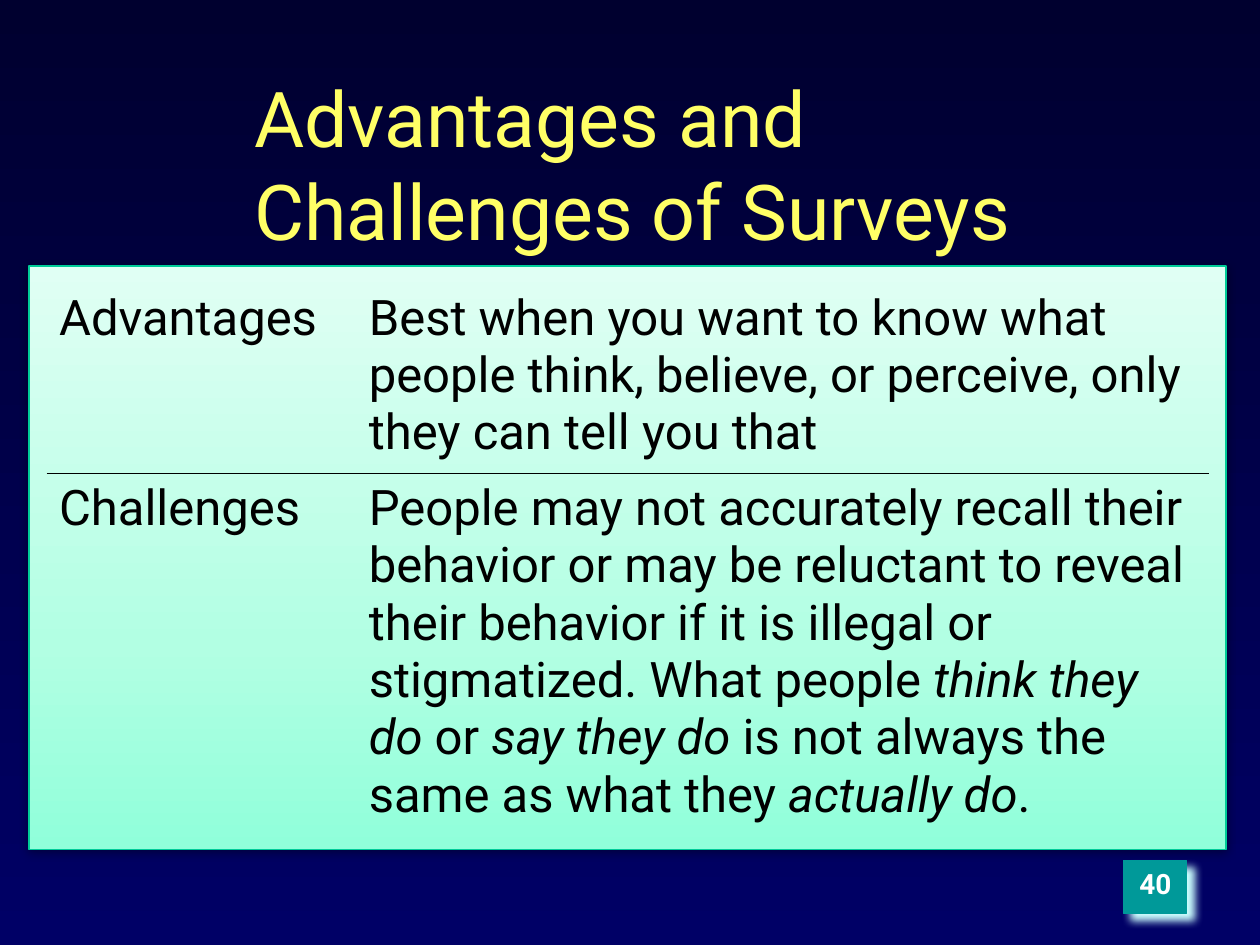
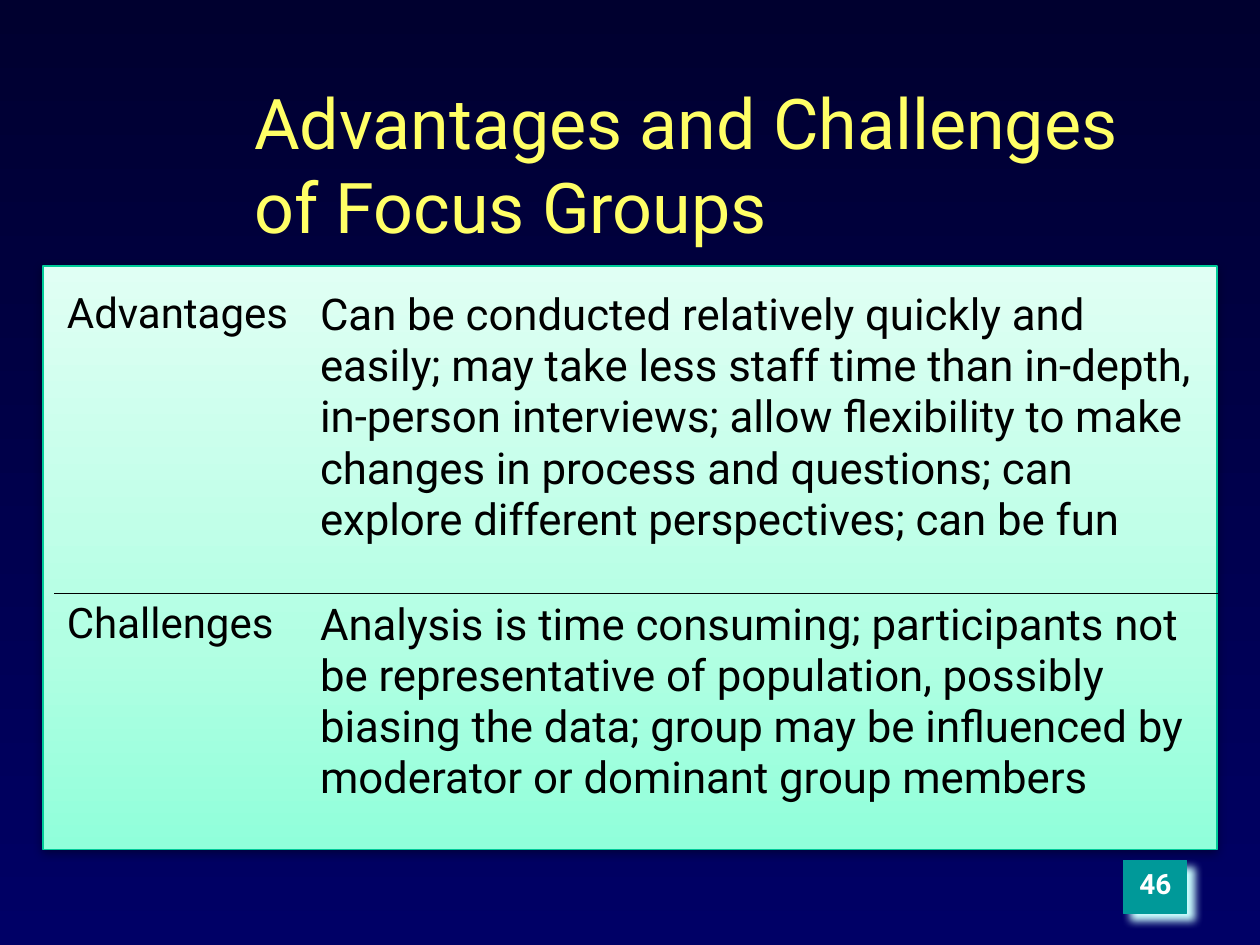
import copy

import lxml.etree
import pptx
import pptx.dml.color
import pptx.enum.shapes
import pptx.enum.text
import pptx.oxml.ns
import pptx.util

Pt = pptx.util.Pt
qn = pptx.oxml.ns.qn
ALIGN = pptx.enum.text.PP_ALIGN
ANCHOR = pptx.enum.text.MSO_ANCHOR
NO_STYLE = "{2D5ABB26-0587-4C30-8999-92F81FD0307C}"

TOPICS = [
    dict(title="Advantages and Challenges of Surveys", title_size=44, number=40,
         panel=(16.6, 684), table_left=26.6, columns=(177, 487.5),
         heights=(108.7, 208.8), label_size=28, body_size=28,
         advantages="Best when you want to know what people think, believe, "
                    "or perceive, only they can tell you that",
         challenges="People may not accurately recall their behavior or may be "
                    "reluctant to reveal their behavior if it is illegal or "
                    "stigmatized. What people *think they do *or *say they do* "
                    "is not always the same as what they *actually do*."),
    dict(title="Advantages and Challenges of Focus Groups", title_size=40, number=46,
         panel=(24.5, 671), table_left=31, columns=(144.7, 520.6),
         heights=(177.1, 162), label_size=24, body_size=25,
         advantages="Can be conducted relatively quickly and easily; may take "
                    "less staff time than in-depth, in-person interviews; allow "
                    "flexibility to make changes in process and questions; can "
                    "explore different perspectives; can be fun",
         challenges="Analysis is time consuming; participants not be "
                    "representative of population, possibly biasing the data; "
                    "group may be influenced by moderator or dominant group members"),
]


def rgb(value):
    """Turn a hex string into a colour."""
    return pptx.dml.color.RGBColor.from_string(value)


def add_xml(parent, tag, **attributes):
    """Append a child element with the given attributes."""
    return lxml.etree.SubElement(
        parent, qn(tag), {name: str(value) for name, value in attributes.items()})


def write(frame, text, size, color, font, bold=None, align=None, anchor=ANCHOR.TOP):
    """Fill a text frame; parts between asterisks become italic."""
    frame.word_wrap = True
    frame.vertical_anchor = anchor
    para = frame.paragraphs[0]
    para.alignment = align
    for index, part in enumerate(text.split("*")):
        span = para.add_run()
        span.text = part
        span.font.name = font
        span.font.size = Pt(size)
        span.font.bold = bold
        span.font.italic = True if index % 2 else None
        span.font.color.rgb = rgb(color)


def paint_gradient(owner, fill, stops, angle):
    """Give a shape or slide a linear gradient of (position, colour) stops."""
    fill.gradient()
    fill.gradient_angle = angle
    stop_list = next(owner.element.iter(qn("a:gsLst")))
    while len(stop_list) < len(stops):
        stop_list.append(copy.deepcopy(stop_list[-1]))
    for stop, (position, color) in zip(fill.gradient_stops, stops):
        stop.position = position
        stop.color.rgb = rgb(color)


class SlideWriter:
    """Holds the shared style and the current slide."""

    font = "Roboto"
    title_color, text_color, badge_text = "FFFF66", "000000", "FFFFFF"
    badge_color, panel_line = "009999", "00CC98"
    page_stops = [(0, "00002F"), (1, "000066")]
    panel_stops = [(0, "90FFDA"), (0.35, "B2FFE3"), (1, "E0FFF4")]

    def __init__(self, deck):
        """Keep the deck that receives the slides."""
        self.deck = deck
        self.page = None

    def start_page(self):
        """Add a blank slide with the shared background."""
        self.page = self.deck.slides.add_slide(self.deck.slide_layouts[6])
        paint_gradient(self.page, self.page.background.fill, self.page_stops, 270)

    def rectangle(self, left, top, width, height, line, shadow):
        """Add an outlined rectangle with a (colour, alpha, distance, angle) shadow."""
        box = self.page.shapes.add_shape(
            pptx.enum.shapes.MSO_SHAPE.RECTANGLE,
            Pt(left), Pt(top), Pt(width), Pt(height))
        box.line.color.rgb = rgb(line)
        box.line.width = Pt(0.75)
        box.shadow.inherit = False
        color, alpha, distance, angle = shadow
        effects = box.element.spPr.find(qn("a:effectLst"))
        outer = add_xml(effects, "a:outerShdw", blurRad=Pt(5), dist=Pt(distance),
                        dir=angle * 60000, algn="ctr", rotWithShape=0)
        add_xml(add_xml(outer, "a:srgbClr", val=color), "a:alpha", val=alpha * 1000)
        return box

    def panel(self, left, width):
        """Add the pale green panel behind the table."""
        box = self.rectangle(left, 152, width, 333.4, self.panel_line,
                             ("000000", 38, 1.6, 90))
        paint_gradient(box, box.fill, self.panel_stops, 90)

    def badge(self, number):
        """Add the slide number in its square."""
        box = self.rectangle(642.2, 491.8, 36, 30.2, self.badge_color,
                             ("CCFFFF", 100, 5.7, 45))
        box.fill.solid()
        box.fill.fore_color.rgb = rgb(self.badge_color)
        write(box.text_frame, str(number), size=16, color=self.badge_text,
              font=self.font, bold=True, align=ALIGN.CENTER)

    def title(self, text, size):
        """Add the slide title."""
        box = self.page.shapes.add_textbox(Pt(138.2), Pt(48.2), Pt(527.8), Pt(90))
        write(box.text_frame, text, size=size, color=self.title_color,
              font=self.font, anchor=ANCHOR.MIDDLE)

    def table(self, rows, left, columns, heights, sizes):
        """Add an unfilled table with a rule between its two rows."""
        frame = self.page.shapes.add_table(
            len(rows), len(columns), Pt(left), Pt(162),
            Pt(sum(columns)), Pt(sum(heights)))
        grid = frame.table
        grid.first_row = grid.horz_banding = False
        next(frame.element.iter(qn("a:tableStyleId"))).text = NO_STYLE
        for column, width in zip(grid.columns, columns):
            column.width = Pt(width)
        for row, height, texts, edge in zip(grid.rows, heights, rows,
                                            ("a:lnB", "a:lnT")):
            row.height = Pt(height)
            for cell, text, size in zip(row.cells, texts, sizes):
                write(cell.text_frame, text, size=size, color=self.text_color,
                      font=self.font)
                cell.fill.background()
                self.rule(cell, edge)

    def rule(self, cell, edge):
        """Draw a thin line on one edge of a cell."""
        properties = cell.fill._xPr
        line = add_xml(properties, edge, w=Pt(1))
        add_xml(add_xml(line, "a:solidFill"), "a:srgbClr", val=self.text_color)
        properties.insert(0, line)


def main():
    """Build and save the deck."""
    deck = pptx.Presentation()
    deck.slide_width, deck.slide_height = Pt(720), Pt(540)
    writer = SlideWriter(deck)
    for topic in TOPICS:
        writer.start_page()
        writer.panel(*topic["panel"])
        writer.badge(topic["number"])
        writer.title(topic["title"], topic["title_size"])
        writer.table([("Advantages", topic["advantages"]),
                      ("Challenges", topic["challenges"])],
                     topic["table_left"], topic["columns"], topic["heights"],
                     (topic["label_size"], topic["body_size"]))
    deck.save("out.pptx")


if __name__ == "__main__":
    main()
